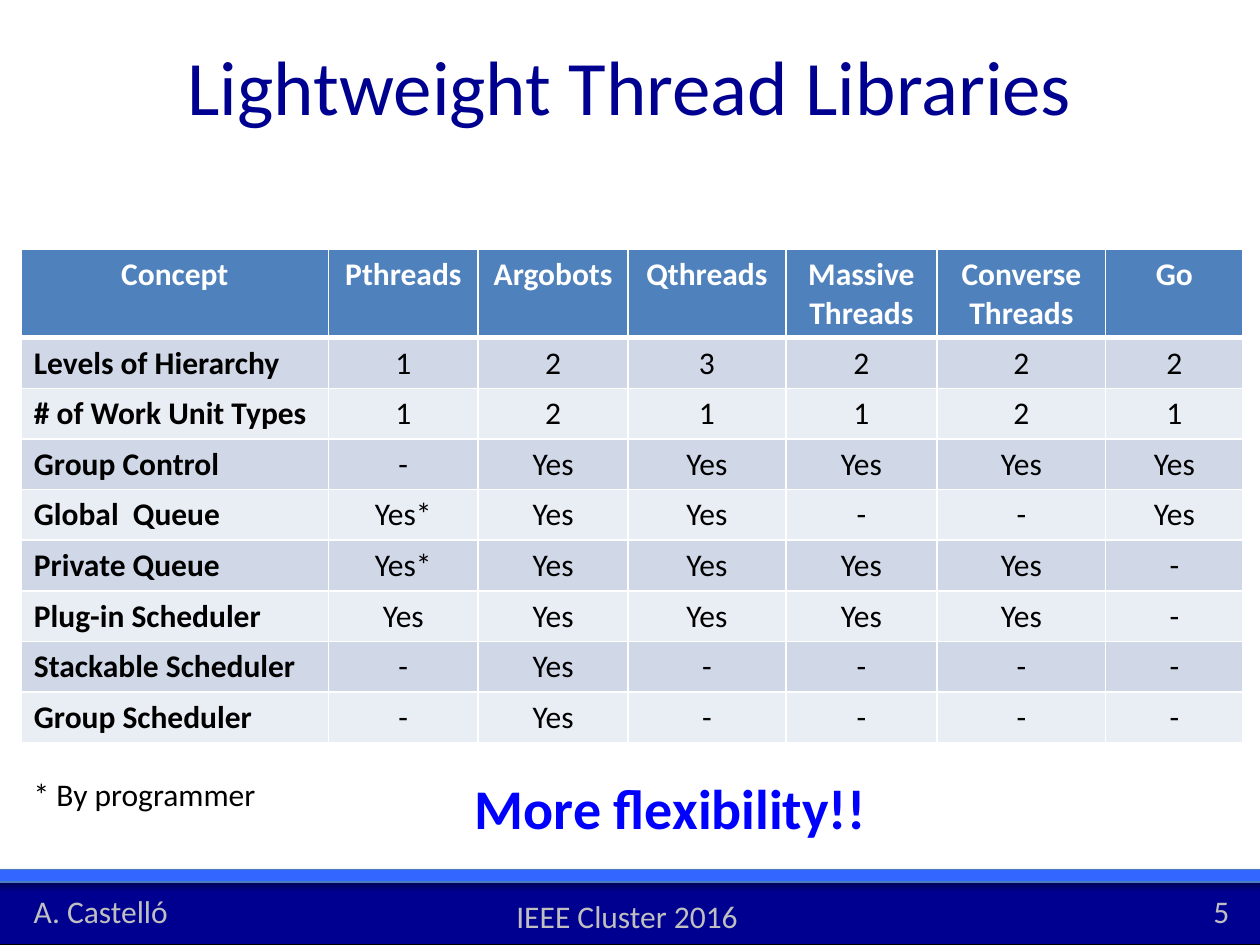
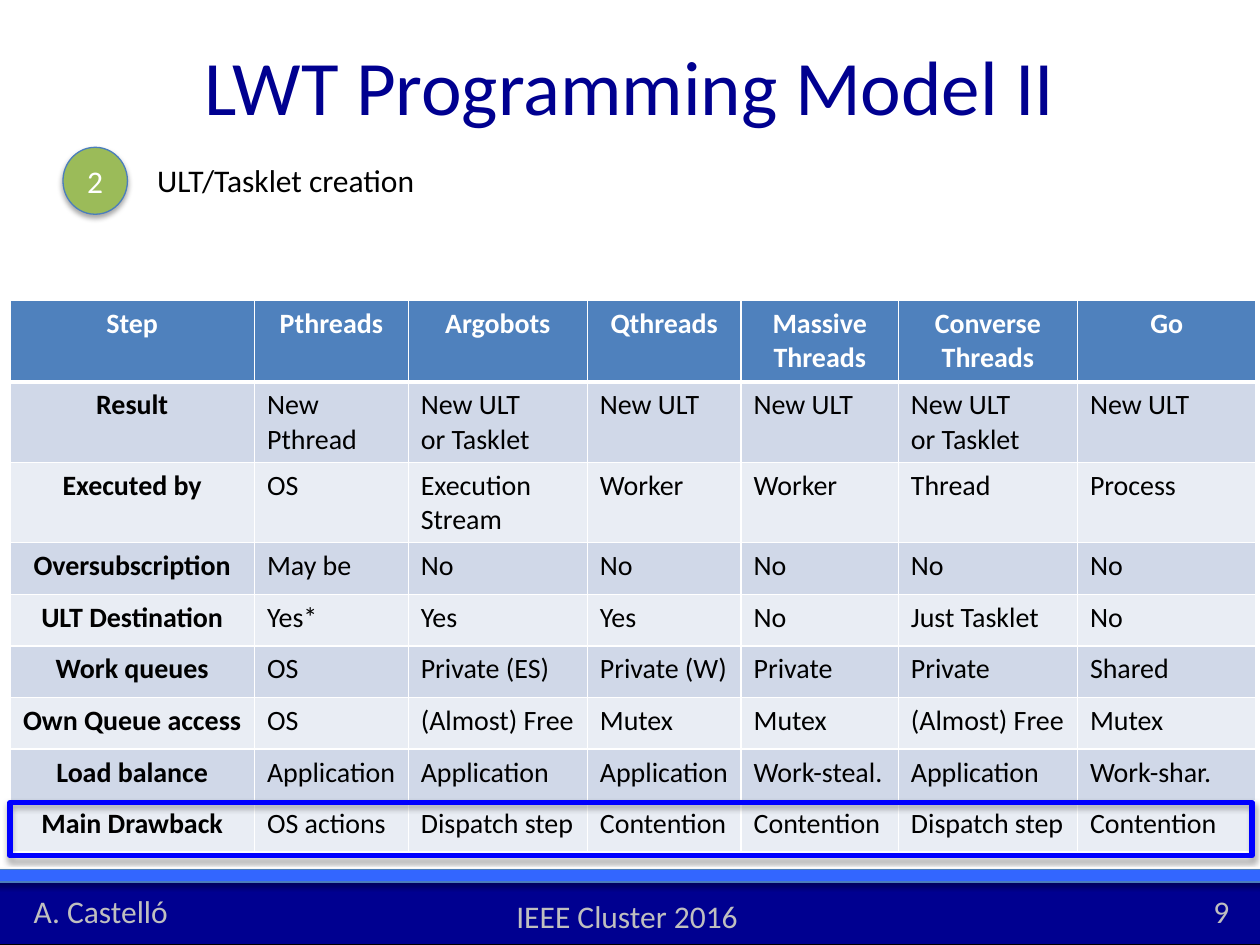
from dataclasses import dataclass
from typing import Optional

from lxml import etree
from pptx import Presentation
from pptx.dml.color import RGBColor
from pptx.enum import shapes, text
from pptx.oxml import ns
from pptx.util import Cm, Pt

# Shared look
FONT = "Calibri"
WHITE = RGBColor(0xFF, 0xFF, 0xFF)
BLACK = RGBColor(0x00, 0x00, 0x00)
NAVY = RGBColor(0x00, 0x00, 0x90)
BAND_BLUE = RGBColor(0x33, 0x66, 0xFF)
EDGE_BLUE = RGBColor(0x4B, 0x7E, 0xBC)
ACCENT_BLUE = RGBColor(0x00, 0x00, 0xFF)
HEADER_BLUE = RGBColor(0x4F, 0x81, 0xBD)
ROW_DARK = RGBColor(0xD0, 0xD8, 0xE8)
ROW_LIGHT = RGBColor(0xE9, 0xED, 0xF4)
GREEN = RGBColor(0x9B, 0xBB, 0x59)
FOOTER_GREY = RGBColor(0xBF, 0xBF, 0xBF)
LEFT, CENTER = text.PP_ALIGN.LEFT, text.PP_ALIGN.CENTER
RECTANGLE, OVAL = shapes.MSO_SHAPE.RECTANGLE, shapes.MSO_SHAPE.OVAL


@dataclass(frozen=True)
class Area:
    """Place and size in centimetres."""
    left: float
    top: float
    width: float
    height: float

    def lengths(self) -> list:
        return [Cm(n) for n in (self.left, self.top, self.width, self.height)]


@dataclass(frozen=True)
class Label:
    words: str
    area: Area
    size: int = 18
    color: RGBColor = BLACK
    bold: bool = False


@dataclass(frozen=True)
class Figure:
    kind: shapes.MSO_SHAPE
    area: Area
    fill: Optional[RGBColor]
    line: RGBColor
    line_width: float = 0.75


@dataclass(frozen=True)
class Grid:
    left: float
    top: float
    columns: list
    heights: list
    rows: list
    size: int
    label_align: text.PP_ALIGN
    value_align: text.PP_ALIGN


BANDS = [
    Figure(RECTANGLE, Area(-0.1, 17.78, 25.73, 1.27), NAVY, BLACK),
    Figure(RECTANGLE, Area(-0.1, 17.53, 25.73, 0.25), BAND_BLUE, EDGE_BLUE),
]
LIBRARIES = ["Pthreads", "Argobots", "Qthreads", "Massive Threads", "Converse Threads", "Go"]

COMPARISON = Grid(
    left=0.43, top=5.03,
    columns=[6.19, 3.02, 3.02, 3.18, 3.05, 3.4, 2.77],
    heights=[1.75] + [1.02] * 8,
    rows=[
        ["Concept", *LIBRARIES],
        ["Levels of Hierarchy", "1", "2", "3", "2", "2", "2"],
        ["# of Work Unit Types", "1", "2", "1", "1", "2", "1"],
        ["Group Control", "-", *["Yes"] * 5],
        ["Global  Queue", "Yes*", "Yes", "Yes", "-", "-", "Yes"],
        ["Private Queue", "Yes*", *["Yes"] * 4, "-"],
        ["Plug-in Scheduler", *["Yes"] * 5, "-"],
        ["Stackable Scheduler", "-", "Yes", *["-"] * 4],
        ["Group Scheduler", "-", "Yes", *["-"] * 4],
    ],
    size=18, label_align=LEFT, value_align=CENTER,
)

CREATION = Grid(
    left=0.2, top=6.05,
    columns=[4.93, 3.1, 3.61, 3.1, 3.17, 3.61, 3.6],
    heights=[1.65, 1.62, 1.62] + [1.04] * 6,
    rows=[
        ["Step", *[name.replace(" ", "\n") for name in LIBRARIES]],
        ["Result", "New\nPthread", "New ULT\nor Tasklet", "New ULT", "New ULT",
         "New ULT\nor Tasklet", "New ULT"],
        ["Executed by", "OS", "Execution\nStream", "Worker", "Worker", "Thread", "Process"],
        ["Oversubscription", "May be", *["No"] * 5],
        ["ULT Destination", "Yes*", "Yes", "Yes", "No", "Just Tasklet", "No"],
        ["Work queues", "OS", "Private (ES)", "Private (W)", "Private", "Private", "Shared"],
        ["Own Queue access", "OS", "(Almost) Free", "Mutex", "Mutex", "(Almost) Free", "Mutex"],
        ["Load balance", "Application", "Application", "Application", "Work-steal.",
         "Application", "Work-shar."],
        ["Main Drawback", "OS actions", "Dispatch step", "Contention", "Contention",
         "Dispatch step", "Contention"],
    ],
    size=16, label_align=CENTER, value_align=LEFT,
)


def write(frame, words: str, size: int, color: RGBColor, bold: bool = False,
          align: text.PP_ALIGN = LEFT) -> None:
    frame.text = words
    for paragraph in frame.paragraphs:
        paragraph.alignment = align
        for span in paragraph.runs:
            span.font.name = FONT
            span.font.size = Pt(size)
            span.font.bold = bold
            span.font.color.rgb = color


def add_label(page, label: Label) -> None:
    box = page.shapes.add_textbox(*label.area.lengths())
    box.text_frame.word_wrap = False
    write(box.text_frame, label.words, label.size, label.color, label.bold)


def add_figure(page, figure: Figure):
    shape = page.shapes.add_shape(figure.kind, *figure.area.lengths())
    if figure.fill is None:
        shape.fill.background()
    else:
        shape.fill.solid()
        shape.fill.fore_color.rgb = figure.fill
    shape.line.color.rgb = figure.line
    shape.line.width = Pt(figure.line_width)
    add_shadow(shape)
    return shape


def add_shadow(shape) -> None:
    shape.shadow.inherit = False
    effects = shape._element.spPr.find(ns.qn("a:effectLst"))
    shadow = etree.SubElement(effects, ns.qn("a:outerShdw"), blurRad=str(Pt(3.1)),
                              dist=str(Pt(1.8)), dir="5400000", rotWithShape="0")
    color = etree.SubElement(shadow, ns.qn("a:srgbClr"), val=str(BLACK))
    etree.SubElement(color, ns.qn("a:alpha"), val="35000")


def set_borders(cell, widths: dict) -> None:
    properties = cell._tc.get_or_add_tcPr()
    for position, (side, width) in enumerate(widths.items()):
        line = etree.Element(ns.qn(f"a:ln{side}"), w=str(Pt(width)))
        fill = etree.SubElement(line, ns.qn("a:solidFill"))
        etree.SubElement(fill, ns.qn("a:srgbClr"), val=str(WHITE))
        properties.insert(position, line)


def add_grid(page, grid: Grid) -> None:
    area = Area(grid.left, grid.top, sum(grid.columns), sum(grid.heights))
    table = page.shapes.add_table(len(grid.rows), len(grid.columns), *area.lengths()).table
    for column, width in zip(table.columns, grid.columns):
        column.width = Cm(width)
    for row_index, (row, height) in enumerate(zip(table.rows, grid.heights)):
        row.height = Cm(height)
        header = row_index == 0
        row_fill = HEADER_BLUE if header else (ROW_LIGHT, ROW_DARK)[row_index % 2]
        for column_index, cell in enumerate(row.cells):
            label = column_index == 0
            align = CENTER if header else grid.label_align if label else grid.value_align
            write(cell.text_frame, grid.rows[row_index][column_index], grid.size,
                  WHITE if header else BLACK, header or label, align)
            cell.fill.solid()
            cell.fill.fore_color.rgb = row_fill
            set_borders(cell, {"L": 1, "R": 1, "T": 3 if row_index == 1 else 1,
                               "B": 3 if header else 1})


def add_page(deck, title: str, number: int):
    """Start a slide with its title, bands and footer."""
    page = deck.slides.add_slide(deck.slide_layouts[5])
    heading = page.shapes.title
    heading.left, heading.top, heading.width, heading.height = Area(
        1.27, 0.48, 22.86, 2.46).lengths()
    heading.text_frame.vertical_anchor = text.MSO_ANCHOR.MIDDLE
    write(heading.text_frame, title, 44, NAVY, align=CENTER)
    for band in BANDS:
        add_figure(page, band)
    for words, area in (
        ("A. Castelló", Area(0.43, 17.86, 3.25, 1.02)),
        (str(number), Area(24.21, 17.86, 0.84, 1.02)),
        ("IEEE Cluster 2016", Area(10.16, 17.96, 5.03, 1.02)),
    ):
        add_label(page, Label(words, area, color=FOOTER_GREY))
    return page


def build_libraries(deck) -> None:
    page = add_page(deck, "Lightweight Thread Libraries", 5)
    add_grid(page, COMPARISON)
    add_label(page, Label("* By programmer", Area(0.43, 15.49, 5.05, 1.02)))
    add_label(page, Label("More flexibility!!", Area(9.32, 15.47, 8.51, 1.63),
                          32, ACCENT_BLUE, True))


def build_creation(deck) -> None:
    page = add_page(deck, "LWT Programming Model II", 9)
    add_grid(page, CREATION)

    # Numbered step
    badge = add_figure(page, Figure(OVAL, Area(1.27, 2.97, 1.3, 1.35), GREEN, EDGE_BLUE))
    badge.text_frame.vertical_anchor = text.MSO_ANCHOR.MIDDLE
    badge.text_frame.word_wrap = False
    write(badge.text_frame, "2", 18, WHITE, align=CENTER)
    add_label(page, Label("ULT/Tasklet creation", Area(2.92, 3.12, 5.89, 1.02)))

    # Frame around the last row
    add_figure(page, Figure(RECTANGLE, Area(0.2, 16.18, 25.04, 1.07), None, ACCENT_BLUE, 3))


def main() -> None:
    deck = Presentation()
    deck.slide_width, deck.slide_height = Cm(25.4), Cm(19.05)
    build_libraries(deck)
    build_creation(deck)
    deck.save("out.pptx")


if __name__ == "__main__":
    main()
